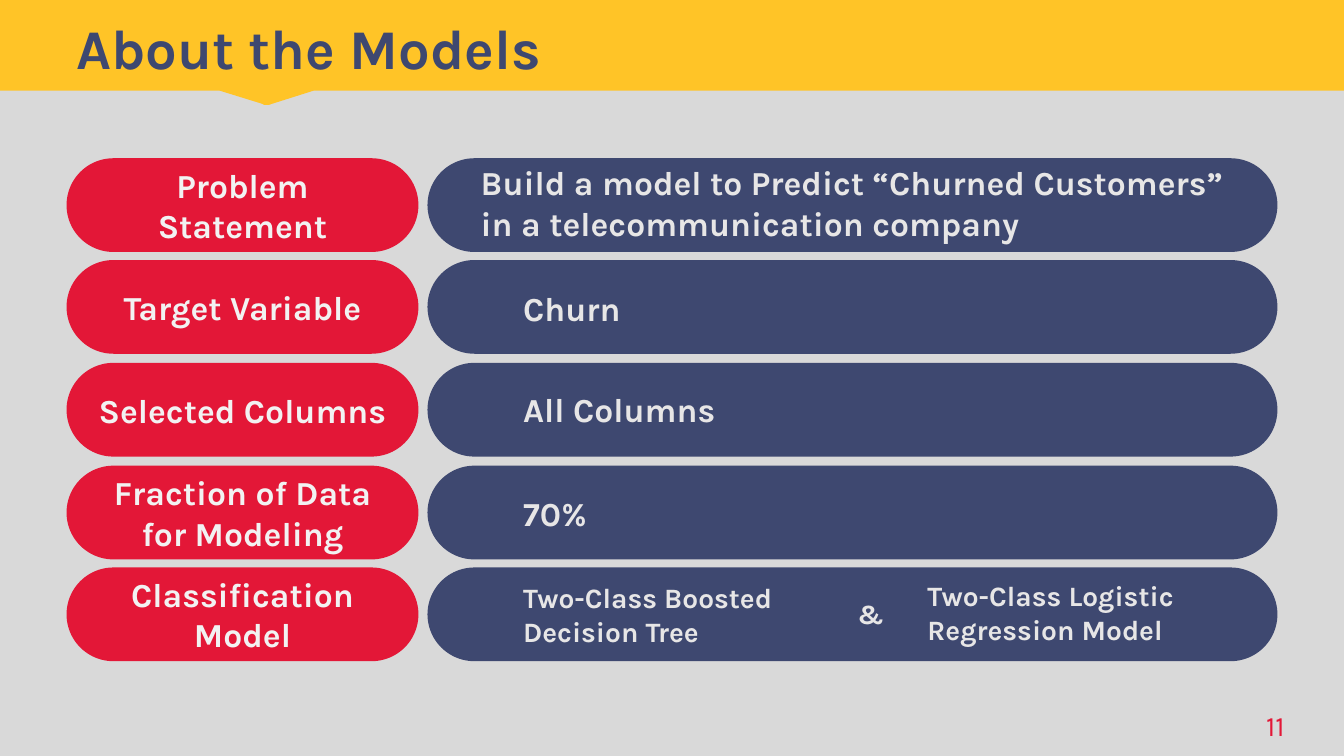
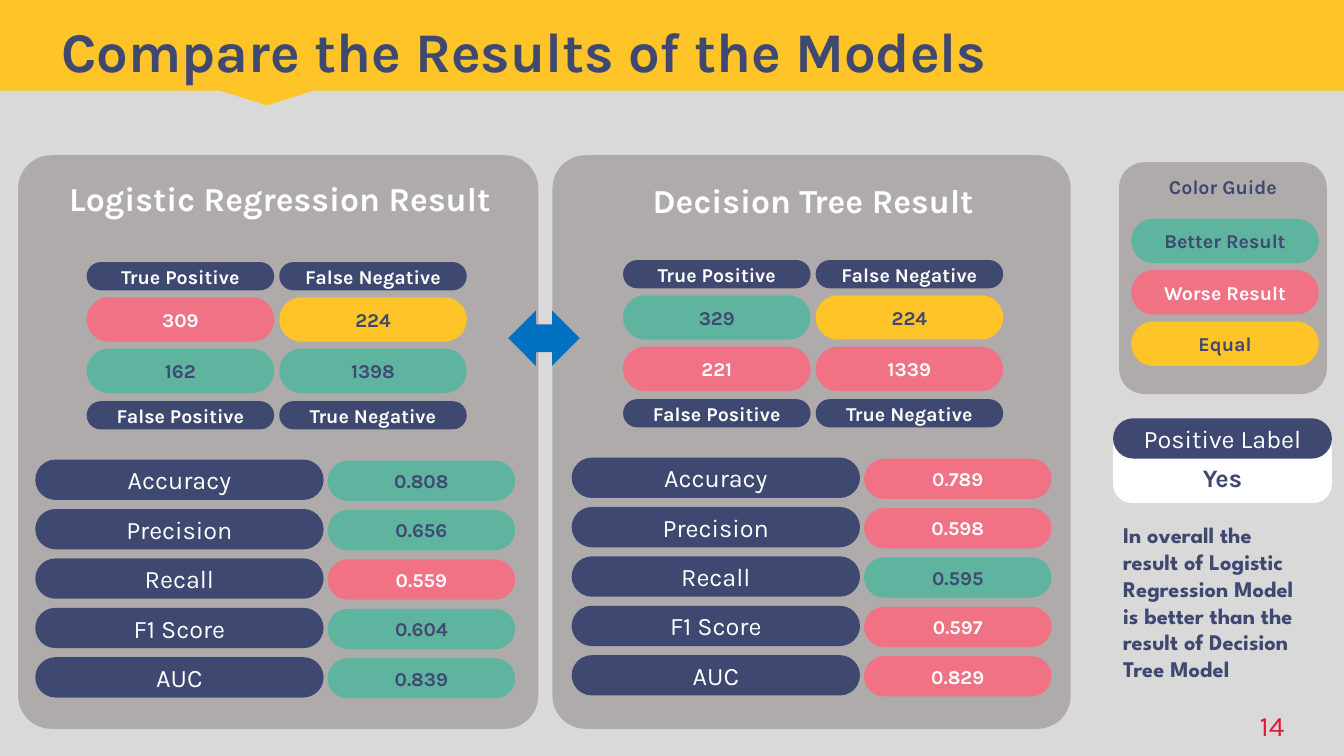
from pptx import Presentation
from pptx import util as u
from pptx.dml.color import RGBColor
from pptx.enum import shapes, text

PX = 9144
NAVY, RED, YELLOW, GREEN, PINK = "3E4870", "E31737", "FFC427", "5FB4A0", "F17185"
GRAY, PAGE, BLUE, WHITE = "AFABAB", "D9D9D9", "0070C0", "FFFFFF"
LABEL_TEXT, DETAIL_TEXT = "F2F2F2", "E7E6E6"
LEFT, CENTER, RIGHT = text.PP_ALIGN.LEFT, text.PP_ALIGN.CENTER, text.PP_ALIGN.RIGHT
TOP, MIDDLE, BOTTOM = text.MSO_ANCHOR.TOP, text.MSO_ANCHOR.MIDDLE, text.MSO_ANCHOR.BOTTOM

BAND = [(0, 0), (0, 90), (218, 90), (260, 103), (262, 104), (264, 104),
        (267, 104), (270, 103), (311, 90), (1333, 90)]

MODEL_ROWS = ["Problem Statement", "Target Variable", "Selected Columns",
              "Fraction of Data for Modeling", "Classification Model"]
MODEL_DETAILS = [
    ("Build a model to Predict “Churned Customers” in a telecommunication company",
     (467, 156, 783, 91), 24, LEFT),
    ("Churn", (509, 281, 705, 50), 24, LEFT),
    ("All Columns", (509, 381, 705, 50), 24, LEFT),
    ("70%", (509, 484, 705, 50), 24, LEFT),
    ("Two-Class Boosted Decision Tree", (509, 571, 340, 77), 20, LEFT),
    ("&", (828, 587, 71, 44), 20, CENTER),
    ("Two-Class Logistic Regression Model", (910, 569, 303, 77), 20, LEFT),
]

RATING = {"better": (GREEN, NAVY), "worse": (PINK, WHITE),
          "equal": (YELLOW, NAVY), "label": (NAVY, WHITE)}
METRICS = ["Accuracy", "Precision", "Recall", "F1 Score", "AUC"]
MATRIX_TOPS = [(260, 28), (295, 44), (346, 44), (398, 28)]
HEAD = [("True Positive", "label"), ("False Negative", "label")]
FOOT = [("False Positive", "label"), ("True Negative", "label")]
RESULTS = [
    {"title": "Logistic Regression Result", "title_at": (32, 168),
     "panel": (18, 154, 516, 569), "shift": (0, 0),
     "matrix": [[("309", "worse"), ("224", "equal")],
                [("162", "better"), ("1398", "better")]],
     "scores": [("0.808", "better"), ("0.656", "better"), ("0.559", "worse"),
                ("0.604", "better"), ("0.839", "better")]},
    {"title": "Decision Tree Result", "title_at": (561, 170),
     "panel": (548, 154, 514, 569), "shift": (532, -2),
     "matrix": [[("329", "better"), ("224", "equal")],
                [("221", "worse"), ("1339", "worse")]],
     "scores": [("0.789", "worse"), ("0.598", "worse"), ("0.595", "better"),
                ("0.597", "worse"), ("0.829", "worse")]},
]
GUIDE = [("Better Result", "better"), ("Worse Result", "worse"), ("Equal", "equal")]
VERDICT = ("In overall the result of Logistic Regression Model is better "
           "than the result of Decision Tree Model")


def rgb(color):
    return RGBColor.from_string(color)


def emu(box):
    return [u.Emu(v * PX) for v in box]


def paint(sp, fill):
    sp.shadow.inherit = False
    sp.fill.solid()
    sp.fill.fore_color.rgb = rgb(fill)
    sp.line.fill.background()


def write(sp, words, size, color, bold=True, align=CENTER, anchor=MIDDLE, font="Karla"):
    tf = sp.text_frame
    tf.word_wrap = True
    tf.auto_size = text.MSO_AUTO_SIZE.NONE
    tf.vertical_anchor = anchor
    p = tf.paragraphs[0]
    p.text = words
    p.alignment = align
    p.font.name = font
    p.font.size = u.Pt(size)
    p.font.bold = bold
    p.font.color.rgb = rgb(color)


def add_round(s, box, fill, radius=0.5):
    sp = s.shapes.add_shape(shapes.MSO_SHAPE.ROUNDED_RECTANGLE, *emu(box))
    sp.adjustments[0] = radius
    paint(sp, fill)
    return sp


def add_pill(s, box, words, rating="label", size=14, bold=True):
    fill, color = RATING[rating]
    write(add_round(s, box, fill), words, size, color, bold)


def add_text(s, box, words, size, color, **style):
    sp = s.shapes.add_textbox(*emu(box))
    write(sp, words, size, color, **style)
    return sp


def add_slide(prs, title, title_box, number):
    s = prs.slides.add_slide(prs.slide_layouts[5])
    sp = s.shapes.title
    sp.left, sp.top, sp.width, sp.height = emu(title_box)
    write(sp, title, 40, NAVY, align=LEFT, anchor=BOTTOM)
    sp = add_text(s, (1168, 683, 116, 54), number, 20, RED,
                  bold=False, align=RIGHT, anchor=BOTTOM)
    sp.text_frame.margin_bottom = u.Emu(PX)
    return s


def add_band(prs, s):
    fill = prs.slide_master.background.fill
    fill.solid()
    fill.fore_color.rgb = rgb(PAGE)
    builder = s.shapes.build_freeform(1333, 0, scale=PX)
    builder.add_line_segments(BAND, close=True)
    band = builder.convert_to_shape()
    paint(band, YELLOW)
    prs.slide_layouts[5].shapes.element.append(band.element)


def add_models(s):
    for i, label in enumerate(MODEL_ROWS):
        top = round(157 + 101.5 * i)
        add_round(s, (424, top, 843, 93), NAVY)
        write(add_round(s, (66, top, 349, 93), RED), label, 24, LABEL_TEXT)
    for words, box, size, align in MODEL_DETAILS:
        add_text(s, box, words, size, DETAIL_TEXT, align=align, anchor=TOP)


def add_result(s, result):
    dx, dy = result["shift"]
    add_round(s, result["panel"], GRAY, 0.064)
    add_text(s, (*result["title_at"], 491, 53), result["title"], 24, WHITE, anchor=BOTTOM)
    for (top, height), cells in zip(MATRIX_TOPS, [HEAD, *result["matrix"], FOOT]):
        for col, (words, rating) in enumerate(cells):
            add_pill(s, (86 + 191 * col + dx, top + dy, 186, height), words, rating)
    for i, (metric, (score, rating)) in enumerate(zip(METRICS, result["scores"])):
        top = 456 + 49 * i + dy
        add_pill(s, (35 + dx, top, 286, 40), metric, size=18, bold=False)
        add_pill(s, (325 + dx, top + 1, 186, 40), score, rating)


def add_sidebar(s):
    guide = add_round(s, (1110, 161, 206, 230), GRAY, 0.122)
    write(guide, "Color Guide", 14, NAVY, anchor=TOP)
    for i, (words, rating) in enumerate(GUIDE):
        add_pill(s, (1122, 217 + 51 * i, 186, 44), words, rating)
    answer = add_round(s, (1104, 427, 217, 72), WHITE, 0.258)
    write(answer, "Yes", 18, NAVY, anchor=BOTTOM)
    add_pill(s, (1104, 415, 217, 40), "Positive Label", size=18, bold=False)
    add_text(s, (1104, 512, 206, 199), VERDICT, 16, NAVY,
             align=LEFT, anchor=TOP, font="League Spartan")


def main():
    prs = Presentation()
    prs.slide_width, prs.slide_height = emu((1333, 750))

    s = add_slide(prs, "About the Models", (66, 13, 1156, 72), "11")
    add_band(prs, s)
    add_models(s)

    s = add_slide(prs, "Compare the Results of the Models", (51, 0, 1156, 88), "14")
    for result in RESULTS:
        add_result(s, result)
    add_sidebar(s)
    arrow = s.shapes.add_shape(shapes.MSO_SHAPE.LEFT_RIGHT_ARROW, *emu((504, 308, 71, 55)))
    paint(arrow, BLUE)

    prs.save("out.pptx")


if __name__ == "__main__":
    main()
